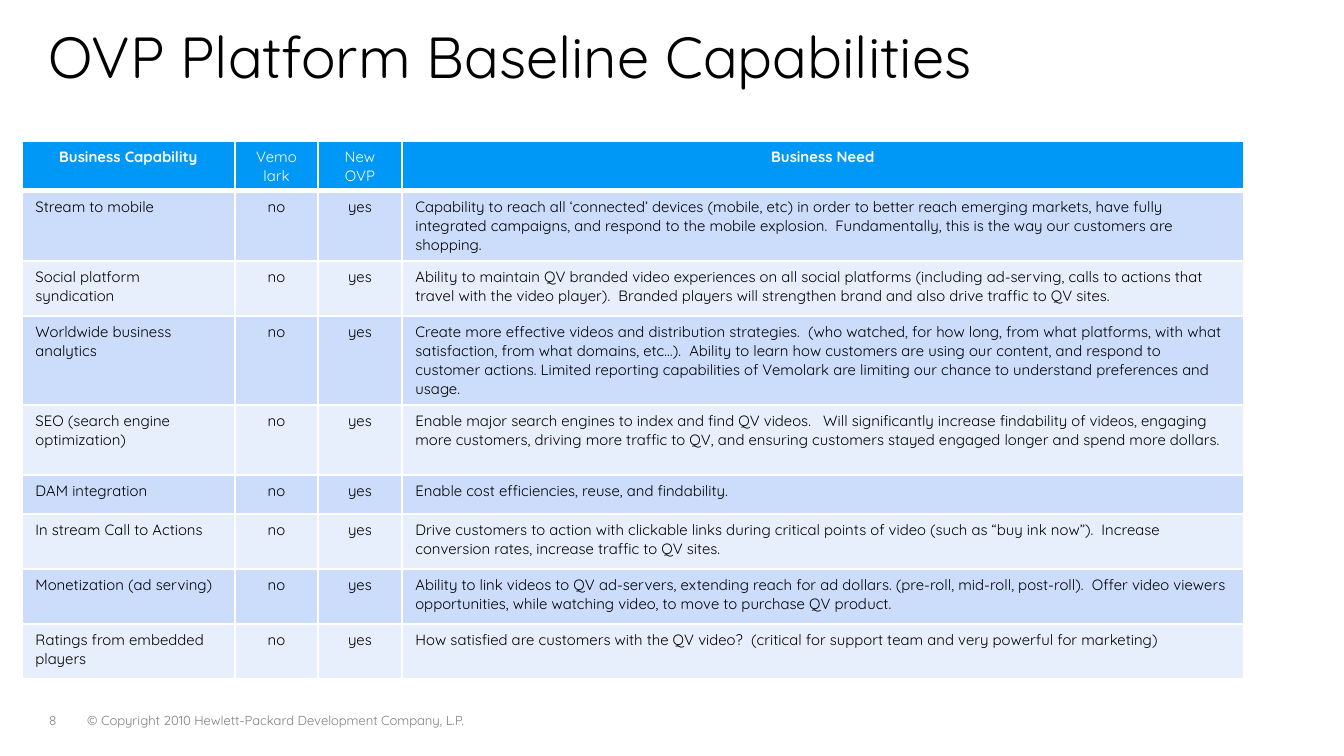
"""Build the slide comparing baseline video platform capabilities."""
from lxml import etree
from pptx import Presentation
from pptx import util as u
from pptx.dml import color
from pptx.enum import text
from pptx.oxml import ns

PX = 914400 / 134.4
BLACK, WHITE, GREY = "000000", "FFFFFF", "808080"
HEADER_FILL = "0098F6"
BAND_FILLS = ["CCDDFB", "E7EFFD"]
LEFT, CENTER = text.PP_ALIGN.LEFT, text.PP_ALIGN.CENTER


def px(length):
    return u.Emu(round(length * PX))


def write(frame, content, size=8, ink=BLACK, bold=False, align=LEFT, spacing=None):
    frame.word_wrap = True
    for index, line in enumerate(content.split("\n")):
        para = frame.paragraphs[0] if index == 0 else frame.add_paragraph()
        para.alignment = align
        para.line_spacing = spacing
        span = para.add_run()
        span.text = line
        span.font.name = "Quicksand"
        span.font.size = u.Pt(size)
        span.font.bold = bold
        span.font.color.rgb = color.RGBColor.from_string(ink)


deck = Presentation()
deck.slide_width, deck.slide_height = px(1344), px(756)
page = deck.slides.add_slide(deck.slide_layouts[6])

footers = [
    (74, 579, "© Copyright 2010 Hewlett-Packard Development Company, L.P."),
    (36, 56, "8"),
]
for left, width, content in footers:
    box = page.shapes.add_textbox(px(left), px(706), px(width), px(30))
    write(box.text_frame, content, size=7, ink=GREY)

title = page.shapes.add_textbox(px(35), px(23), px(1231), px(74))
title.text_frame.vertical_anchor = text.MSO_ANCHOR.BOTTOM
write(title.text_frame, "OVP Platform Baseline Capabilities", size=31, spacing=u.Pt(31))

headings = ["Business Capability", "Vemo\nlark", "New OVP", "Business Need"]
needs = [
    ("Stream to mobile",
     "Capability to reach all ‘connected’ devices (mobile, etc) in order to better reach "
     "emerging markets, have fully integrated campaigns, and respond to the mobile explosion.  "
     "Fundamentally, this is the way our customers are shopping."),
    ("Social platform syndication",
     "Ability to maintain QV branded video experiences on all social platforms (including "
     "ad-serving, calls to actions that travel with the video player).  Branded players will "
     "strengthen brand and also drive traffic to QV sites."),
    ("Worldwide business analytics",
     "Create more effective videos and distribution strategies.  (who watched, for how long, "
     "from what platforms, with what satisfaction, from what domains, etc…).  Ability to learn "
     "how customers are using our content, and respond to customer actions. Limited reporting "
     "capabilities of Vemolark are limiting our chance to understand preferences and usage."),
    ("SEO (search engine optimization)",
     "Enable major search engines to index and find QV videos.   Will significantly increase "
     "findability of videos, engaging more customers, driving more traffic to QV, and ensuring "
     "customers stayed engaged longer and spend more dollars."),
    ("DAM integration",
     "Enable cost efficiencies, reuse, and findability."),
    ("In stream Call to Actions",
     "Drive customers to action with clickable links during critical points of video (such as "
     "“buy ink now”).  Increase conversion rates, increase traffic to QV sites."),
    ("Monetization (ad serving)",
     "Ability to link videos to QV ad-servers, extending reach for ad dollars. (pre-roll, "
     "mid-roll, post-roll).  Offer video viewers opportunities, while watching video, to move "
     "to purchase QV product."),
    ("Ratings from embedded players",
     "How satisfied are customers with the QV video?  (critical for support team and very "
     "powerful for marketing)"),
]
rows = [headings] + [[name, "no", "yes", need] for name, need in needs]
column_widths = [213, 83, 84, 842]
row_heights = [50, 70, 55, 89, 70, 39, 55, 55, 55]

table = page.shapes.add_table(
    len(rows), len(headings), px(22), px(141), px(sum(column_widths)), px(sum(row_heights))
).table
for column, width in zip(table.columns, column_widths):
    column.width = px(width)
for row, height in zip(table.rows, row_heights):
    row.height = px(height)

for r, row in enumerate(rows):
    for c, content in enumerate(row):
        cell = table.cell(r, c)
        header, outer = r == 0, c in (0, 3)
        properties = cell._tc.get_or_add_tcPr()
        for side in "LRTB":
            thick = (r, side) in [(0, "B"), (1, "T")]
            line = etree.SubElement(properties, ns.qn(f"a:ln{side}"), w=str(u.Pt(3 if thick else 1)))
            fill = etree.SubElement(line, ns.qn("a:solidFill"))
            etree.SubElement(fill, ns.qn("a:srgbClr"), val=WHITE)
        cell.fill.solid()
        cell.fill.fore_color.rgb = color.RGBColor.from_string(
            HEADER_FILL if header else BAND_FILLS[(r - 1) % 2])
        write(cell.text_frame, content, ink=WHITE if header else BLACK,
              bold=header and outer, align=CENTER if header or not outer else LEFT)

deck.save("out.pptx")
